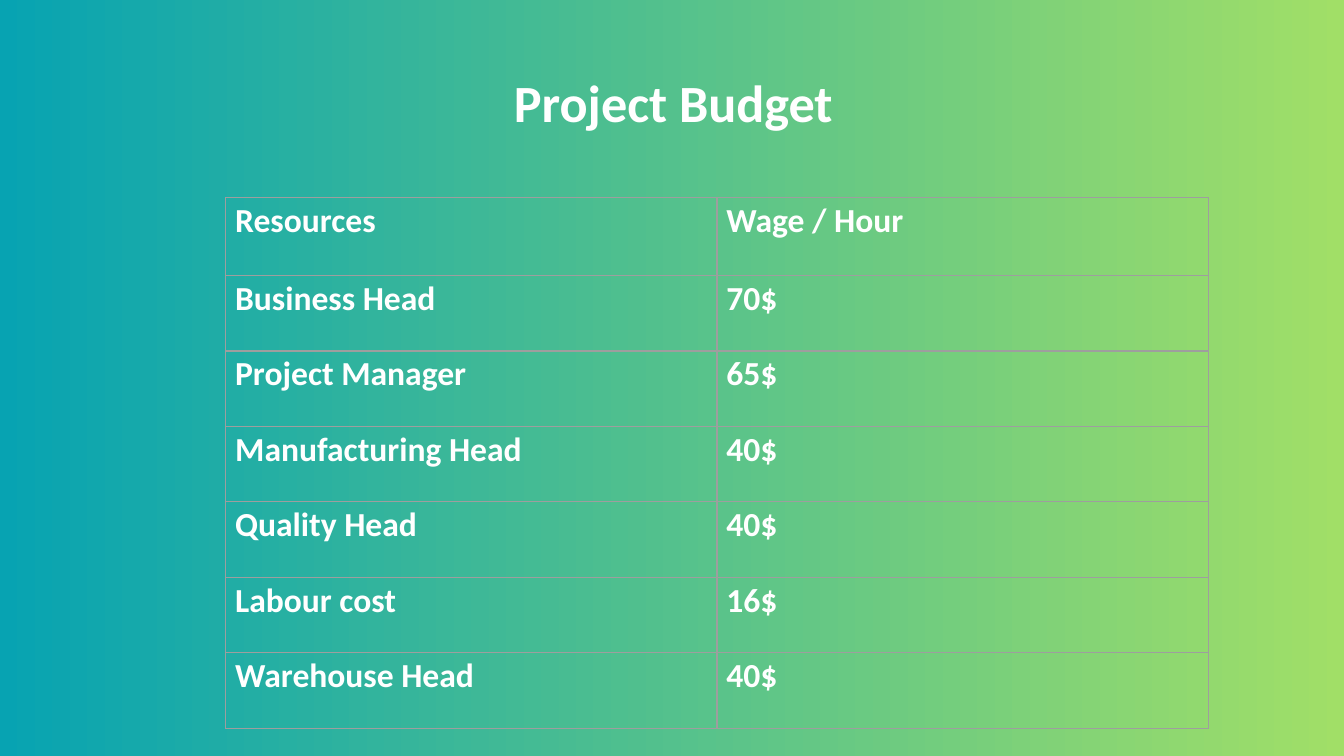
import pptx
import pptx.util
import pptx.dml.color
import pptx.enum.text
import lxml.etree

Inches = pptx.util.Inches
Pt = pptx.util.Pt
RGB = pptx.dml.color.RGBColor.from_string
HUES = {"teal": "07A3B2", "lime": "A1DF67", "text": "FFFFFF", "rule": "9E9E9E"}
FONT = {"name": "Calibri", "bold": True}
INSET = {"margin_left": Inches(0.07), "margin_right": Inches(0.07),
         "margin_top": 0, "margin_bottom": 0}
ROWS = [
    ("Resources", "Wage / Hour"),
    ("Business Head", "70$"),
    ("Project Manager", "65$"),
    ("Manufacturing Head", "40$"),
    ("Quality Head", "40$"),
    ("Labour cost", "16$"),
    ("Warehouse Head", "40$"),
]


def write(para, text, size):
    """Put text in a paragraph as one bold white run."""
    run = para.add_run()
    run.text = text
    for key, value in FONT.items():
        setattr(run.font, key, value)
    run.font.size = Pt(size)
    run.font.color.rgb = RGB(HUES["text"])


def rule(cell):
    """Draw a thin line on all four sides of a cell."""
    props = cell._tc.get_or_add_tcPr()
    space = "http://schemas.openxmlformats.org/drawingml/2006/main"
    for place, side in enumerate(("lnL", "lnR", "lnT", "lnB")):
        line = lxml.etree.Element(f"{{{space}}}{side}", w=str(Pt(0.75)))
        fill = lxml.etree.SubElement(line, f"{{{space}}}solidFill")
        lxml.etree.SubElement(fill, f"{{{space}}}srgbClr", val=HUES["rule"])
        props.insert(place, line)


deck = pptx.Presentation()
deck.slide_width = Inches(10)
deck.slide_height = Inches(10 * 9 / 16)
slide = deck.slides.add_slide(deck.slide_layouts[6])

back = slide.background.fill
back.gradient()
back.gradient_angle = 0
for stop, hue, place in zip(back.gradient_stops, ("teal", "lime"), (0, 1)):
    stop.color.rgb = RGB(HUES[hue])
    stop.position = place

wide, high, head = Inches(7.31), Inches(3.95), Inches(0.58)
frame = slide.shapes.add_table(len(ROWS), 2, Inches(1.68), Inches(1.47),
                               wide, high)
table = frame.table
table.first_row = False
table.horz_banding = False
for col in table.columns:
    col.width = wide // 2
for r, words in enumerate(ROWS):
    table.rows[r].height = (high - head) // (len(ROWS) - 1) if r else head
    for c, text in enumerate(words):
        cell = table.cell(r, c)
        for key, value in INSET.items():
            setattr(cell, key, value)
        cell.fill.background()
        rule(cell)
        para = cell.text_frame.paragraphs[0]
        para.line_spacing = 1.07
        para.space_after = Pt(8 if r else 0)
        write(para, text, 18)

title = slide.shapes.add_textbox(Inches(3.46), Inches(0.47),
                                 Inches(3.1), Inches(0.57)).text_frame
title.word_wrap = True
title.auto_size = pptx.enum.text.MSO_AUTO_SIZE.SHAPE_TO_FIT_TEXT
title.paragraphs[0].alignment = pptx.enum.text.PP_ALIGN.CENTER
write(title.paragraphs[0], "Project Budget", 28)

deck.save("out.pptx")
